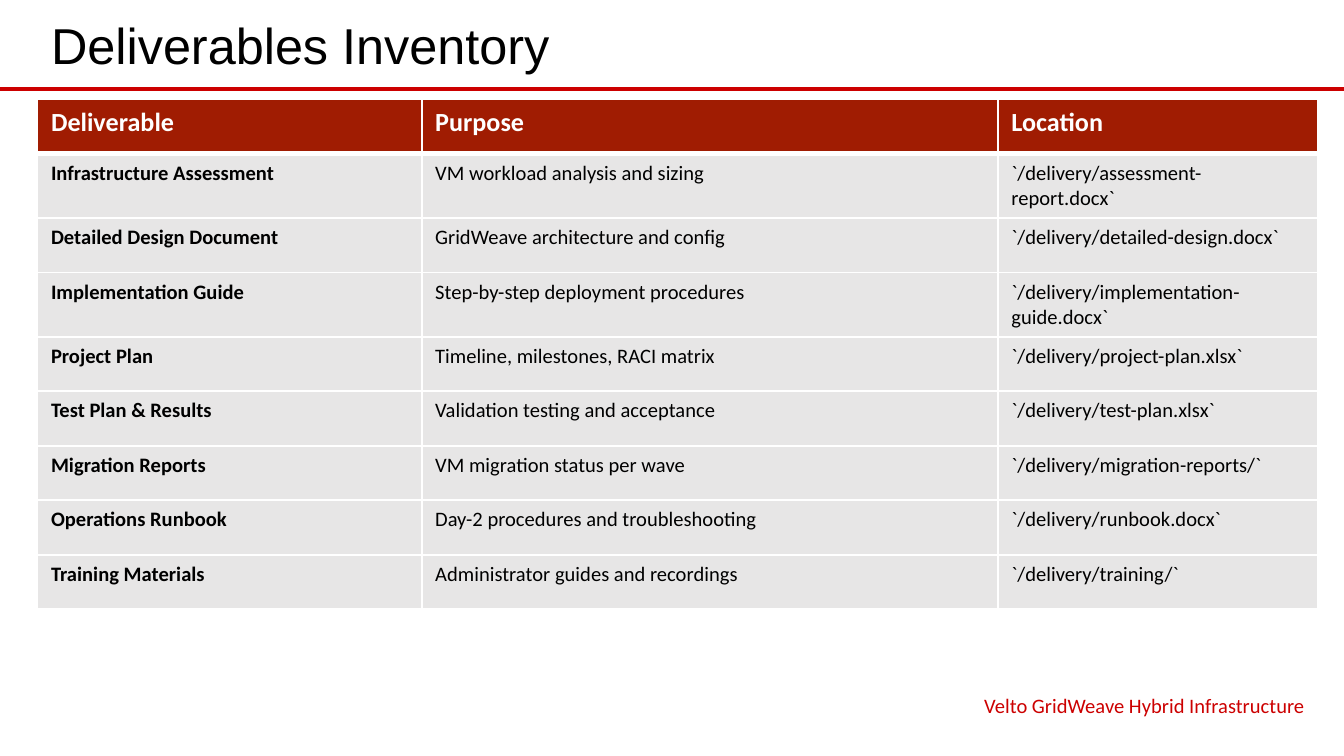
from lxml.etree import SubElement
from pptx import Presentation
from pptx.dml.color import RGBColor
from pptx.enum.shapes import MSO_CONNECTOR as Link
from pptx.enum.text import MSO_ANCHOR as Anchor, MSO_AUTO_SIZE as Fit, PP_ALIGN as Align
from pptx.oxml import parse_xml
from pptx.oxml.ns import nsdecls, qn
from pptx.util import Cm, Pt

RED, BRICK, GREY, WHITE, BLACK = "CC0000", "A01C02", "E7E6E6", "FFFFFF", "000000"
LEFT, WIDTH = 0.71, 24.2
ROW = 1.03
SHARES = (0.3, 0.45, 0.25)
HEAD = ("Deliverable", "Purpose", "Location")
ITEMS = [
    ("Infrastructure Assessment", "VM workload analysis and sizing",
     "`/delivery/assessment-report.docx`"),
    ("Detailed Design Document", "GridWeave architecture and config",
     "`/delivery/detailed-design.docx`"),
    ("Implementation Guide", "Step-by-step deployment procedures",
     "`/delivery/implementation-guide.docx`"),
    ("Project Plan", "Timeline, milestones, RACI matrix",
     "`/delivery/project-plan.xlsx`"),
    ("Test Plan & Results", "Validation testing and acceptance",
     "`/delivery/test-plan.xlsx`"),
    ("Migration Reports", "VM migration status per wave",
     "`/delivery/migration-reports/`"),
    ("Operations Runbook", "Day-2 procedures and troubleshooting",
     "`/delivery/runbook.docx`"),
    ("Training Materials", "Administrator guides and recordings",
     "`/delivery/training/`"),
]


def paint(color, tone):
    color.rgb = RGBColor.from_string(tone)


def add_run(para, text, size, tone, face="Calibri", bold=False):
    run = para.add_run()
    run.text = text
    run.font.size = Pt(size)
    run.font.name = face
    run.font.bold = bold
    paint(run.font.color, tone)


def set_frame(frame, align):
    """Wrap and centre the text vertically; return the first paragraph."""
    frame.word_wrap = True
    frame.auto_size = Fit.NONE
    frame.vertical_anchor = Anchor.MIDDLE
    para = frame.paragraphs[0]
    para.alignment = align
    return para


def set_title(slide, text):
    title = slide.shapes.title
    title.left, title.top = Cm(LEFT), Cm(0.1)
    title.width, title.height = Cm(WIDTH), Cm(1.47)
    add_run(set_frame(title.text_frame, Align.LEFT), text, 27, BLACK, "Arial")


def add_rule(slide, y, width):
    line = slide.shapes.add_connector(Link.STRAIGHT, 0, y, width, y)
    line.line.width = Pt(2.25)
    paint(line.line.color, RED)
    SubElement(line._element.spPr, qn("a:effectLst"))


def set_edges(cell, top, bottom):
    """Draw white borders; top and bottom are widths in points."""
    props = cell._tc.get_or_add_tcPr()
    sides = {"L": 1, "R": 1, "T": top, "B": bottom}
    for spot, (side, width) in enumerate(sides.items()):
        props.insert(spot, parse_xml(
            f'<a:ln{side} {nsdecls("a")} w="{Pt(width)}"><a:solidFill>'
            f'<a:srgbClr val="{WHITE}"/></a:solidFill></a:ln{side}>'))


def fill_cell(cell, text, size, tone, back, bold):
    cell.fill.solid()
    paint(cell.fill.fore_color, back)
    add_run(cell.text_frame.paragraphs[0], text, size, tone, bold=bold)


def add_grid(slide):
    rows = [HEAD, *ITEMS]
    grid = slide.shapes.add_table(
        len(rows), len(HEAD), Cm(LEFT), Cm(1.88),
        Cm(WIDTH), Cm(ROW * len(rows))).table
    for col, share in zip(grid.columns, SHARES):
        col.width = Cm(WIDTH * share)
    for r, row in enumerate(rows):
        grid.rows[r].height = Cm(ROW)
        for c, text in enumerate(row):
            cell = grid.cell(r, c)
            if r == 0:
                fill_cell(cell, text, 14, WHITE, BRICK, True)
            else:
                fill_cell(cell, text, 11, BLACK, GREY, c == 0)
            set_edges(cell, 3 if r == 1 else 1, 3 if r == 0 else 1)


def add_footer(slide, text):
    box = slide.shapes.add_textbox(Cm(15.97), Cm(13), Cm(8.94), Cm(0.66))
    add_run(set_frame(box.text_frame, Align.RIGHT), text, 11, RED)


def main():
    deck = Presentation()
    deck.slide_width, deck.slide_height = Cm(25.4), Cm(14.29)
    slide = deck.slides.add_slide(deck.slide_layouts[5])
    add_rule(slide, Cm(1.68), deck.slide_width)
    set_title(slide, "Deliverables Inventory")
    add_grid(slide)
    add_footer(slide, "Velto GridWeave Hybrid Infrastructure")
    deck.save("out.pptx")


if __name__ == "__main__":
    main()
